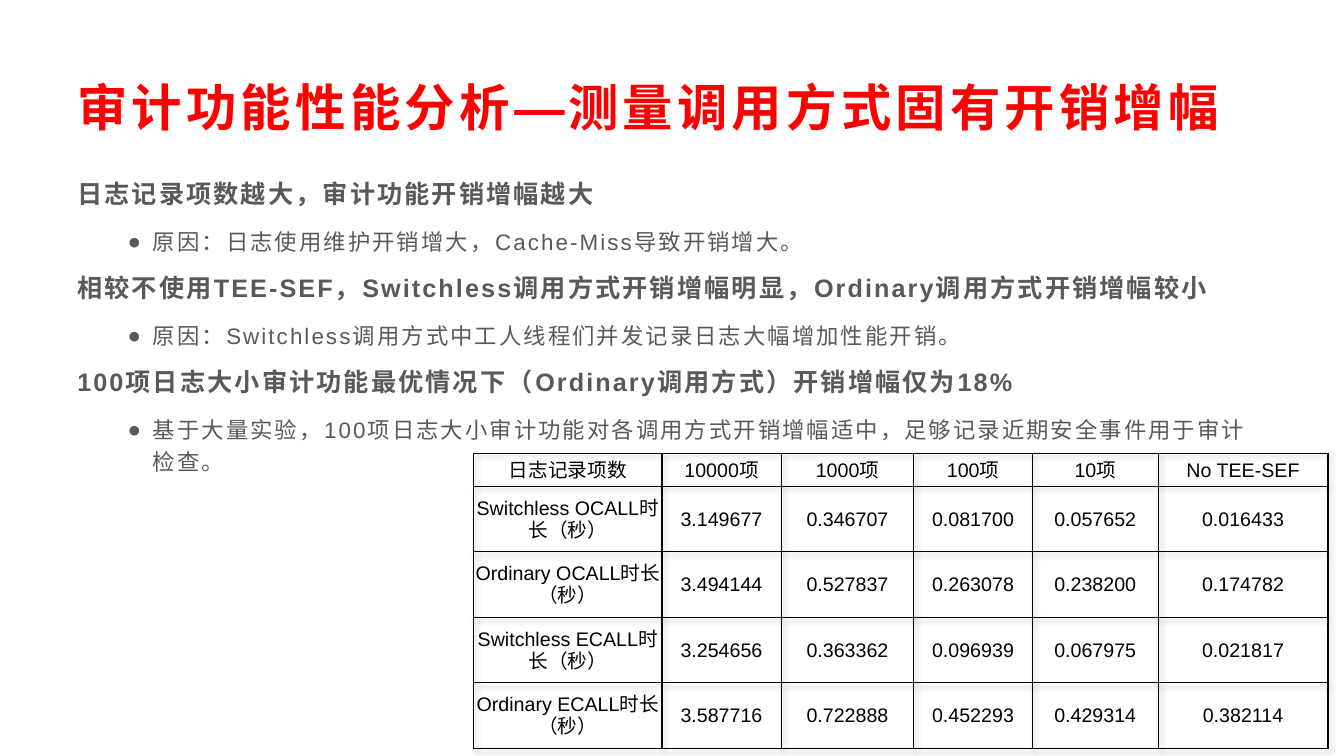
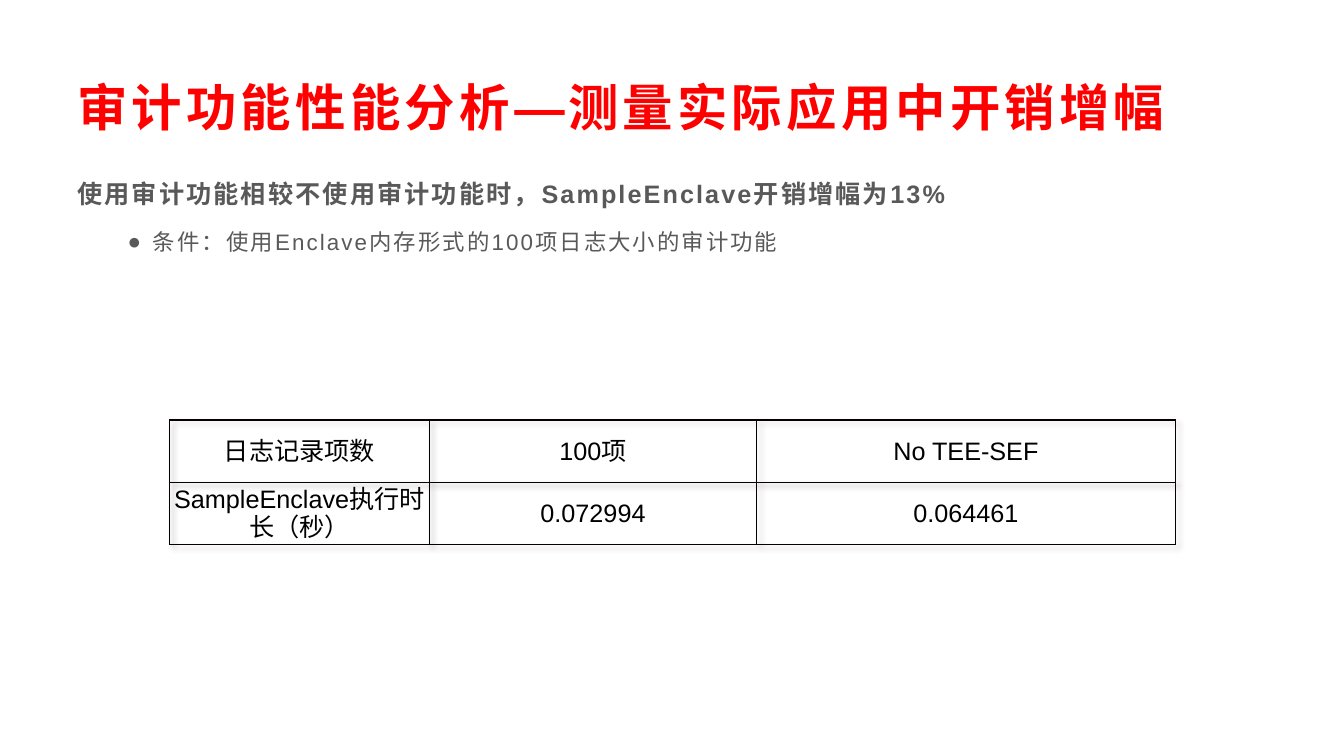
from dataclasses import dataclass

from lxml.etree import SubElement
from pptx import Presentation
from pptx.dml.color import RGBColor as Color
from pptx.enum.text import MSO_ANCHOR as Anchor
from pptx.enum.text import MSO_AUTO_SIZE as AutoSize
from pptx.enum.text import PP_ALIGN as Align
from pptx.oxml import parse_xml
from pptx.oxml.ns import nsdecls, qn
from pptx.util import Inches, Pt


@dataclass(frozen=True)
class Theme:
    font: str = "Arial"
    title: Color = Color(0xFF, 0x00, 0x00)
    body: Color = Color(0x59, 0x59, 0x59)
    table: Color = Color(0x00, 0x00, 0x00)
    border: str = "080000"
    title_size: int = 36
    point_size: int = 18
    detail_size: int = 16


theme = Theme()

presentation = Presentation()
presentation.slide_width = Inches(13.33)
presentation.slide_height = Inches(7.5)
column_unit = presentation.slide_width / 160
row_unit = presentation.slide_height / 90


def place(shape, column, row, columns, rows):
    shape.left, shape.width = int(column * column_unit), int(columns * column_unit)
    shape.top, shape.height = int(row * row_unit), int(rows * row_unit)


def style_runs(paragraph, size, color, bold=False, spacing=0):
    for run in paragraph.runs:
        run.font.name = theme.font
        run.font.size = Pt(size)
        run.font.bold = bold
        run.font.color.rgb = color
        properties = run.font._element
        properties.set("spc", str(int(spacing * 100)))
        SubElement(properties, qn("a:ea")).set("typeface", theme.font)


slides = [
    {
        "title": "审计功能性能分析—测量调用方式固有开销增幅",
        "points": [
            ("日志记录项数越大，审计功能开销增幅越大",
             "原因：日志使用维护开销增大，Cache-Miss导致开销增大。"),
            ("相较不使用TEE-SEF，Switchless调用方式开销增幅明显，Ordinary调用方式开销增幅较小",
             "原因：Switchless调用方式中工人线程们并发记录日志大幅增加性能开销。"),
            ("100项日志大小审计功能最优情况下（Ordinary调用方式）开销增幅仅为18%",
             "基于大量实验，100项日志大小审计功能对各调用方式开销增幅适中，足够记录近期安全事件用于审计检查。"),
        ],
        "corner": (56.4, 54),
        "widths": [22.4, 14.2, 15.8, 14.1, 15, 20.2],
        "heights": [3.9] + [7.8] * 4,
        "table_size": 14,
        "cells": [
            ["日志记录项数", "10000项", "1000项", "100项", "10项", "No TEE-SEF"],
            ["Switchless OCALL时长（秒）", "3.149677", "0.346707", "0.081700", "0.057652", "0.016433"],
            ["Ordinary OCALL时长（秒）", "3.494144", "0.527837", "0.263078", "0.238200", "0.174782"],
            ["Switchless ECALL时长（秒）", "3.254656", "0.363362", "0.096939", "0.067975", "0.021817"],
            ["Ordinary ECALL时长（秒）", "3.587716", "0.722888", "0.452293", "0.429314", "0.382114"],
        ],
    },
    {
        "title": "审计功能性能分析—测量实际应用中开销增幅",
        "points": [
            ("使用审计功能相较不使用审计功能时，SampleEnclave开销增幅为13%",
             "条件：使用Enclave内存形式的100项日志大小的审计功能"),
        ],
        "corner": (20.2, 50),
        "widths": [30.9, 39, 49.8],
        "heights": [7.4, 7.4],
        "table_size": 18,
        "cells": [
            ["日志记录项数", "100项", "No TEE-SEF"],
            ["SampleEnclave执行时长（秒）", "0.072994", "0.064461"],
        ],
    },
]

for content in slides:
    slide = presentation.slides.add_slide(presentation.slide_layouts[1])
    title, body = slide.shapes.title, slide.placeholders[1]

    place(title, 8, 8, 144, 9.3)
    title.text_frame.text = content["title"]
    title.text_frame.vertical_anchor = Anchor.MIDDLE
    title.text_frame.auto_size = AutoSize.NONE
    heading = title.text_frame.paragraphs[0]
    heading.alignment = Align.LEFT
    style_runs(heading, theme.title_size, theme.title, True, 3)

    place(body, 8, 19.6, 144, 68.1)
    lines = [(text, level) for pair in content["points"] for level, text in enumerate(pair)]
    body.text_frame.text = "\n".join(text for text, level in lines)
    body.text_frame.auto_size = AutoSize.NONE
    for paragraph, (text, level) in zip(body.text_frame.paragraphs, lines):
        paragraph.level = level
        properties = paragraph._p.get_or_add_pPr()
        properties.set("marL", str(Inches(0.75 * level)))
        properties.set("indent", str(Inches(-0.25 * level)))
        if level:
            SubElement(properties, qn("a:buFont")).set("typeface", theme.font)
            SubElement(properties, qn("a:buChar")).set("char", "●")
        else:
            SubElement(properties, qn("a:buNone"))
        paragraph.line_spacing = 1.2 if level else 1.3
        paragraph.space_before = Pt(0)
        paragraph.space_after = Pt(6 if level else 10)
        size = theme.detail_size if level else theme.point_size
        style_runs(paragraph, size, theme.body, not level, 1.5)

    cells, widths, heights = content["cells"], content["widths"], content["heights"]
    frame = slide.shapes.add_table(len(heights), len(widths), 0, 0, 0, 0)
    place(frame, *content["corner"], sum(widths), sum(heights))
    table = frame.table
    table.first_row = table.horz_banding = False
    table._tbl.tblPr.insert(0, parse_xml(
        f'<a:effectLst {nsdecls("a")}><a:outerShdw blurRad="50800" dist="38100" dir="2700000">'
        '<a:srgbClr val="000000"><a:alpha val="30000"/></a:srgbClr>'
        '</a:outerShdw></a:effectLst>'))
    for column, width in zip(table.columns, widths):
        column.width = int(width * column_unit)
    for row, height, texts in zip(table.rows, heights, cells):
        row.height = int(height * row_unit)
        for cell, text in zip(row.cells, texts):
            cell.text_frame.text = text
            cell.vertical_anchor = Anchor.MIDDLE
            cell.margin_left = cell.margin_right = cell.margin_top = Inches(0.01)
            cell.margin_bottom = 0
            paragraph = cell.text_frame.paragraphs[0]
            paragraph.alignment = Align.CENTER
            style_runs(paragraph, content["table_size"], theme.table)
            properties = cell._tc.get_or_add_tcPr()
            for side in ("lnL", "lnR", "lnT", "lnB"):
                properties.append(parse_xml(
                    f'<a:{side} {nsdecls("a")} w="{Pt(1)}"><a:solidFill>'
                    f'<a:srgbClr val="{theme.border}"/></a:solidFill></a:{side}>'))
            cell.fill.background()

presentation.save("out.pptx")
